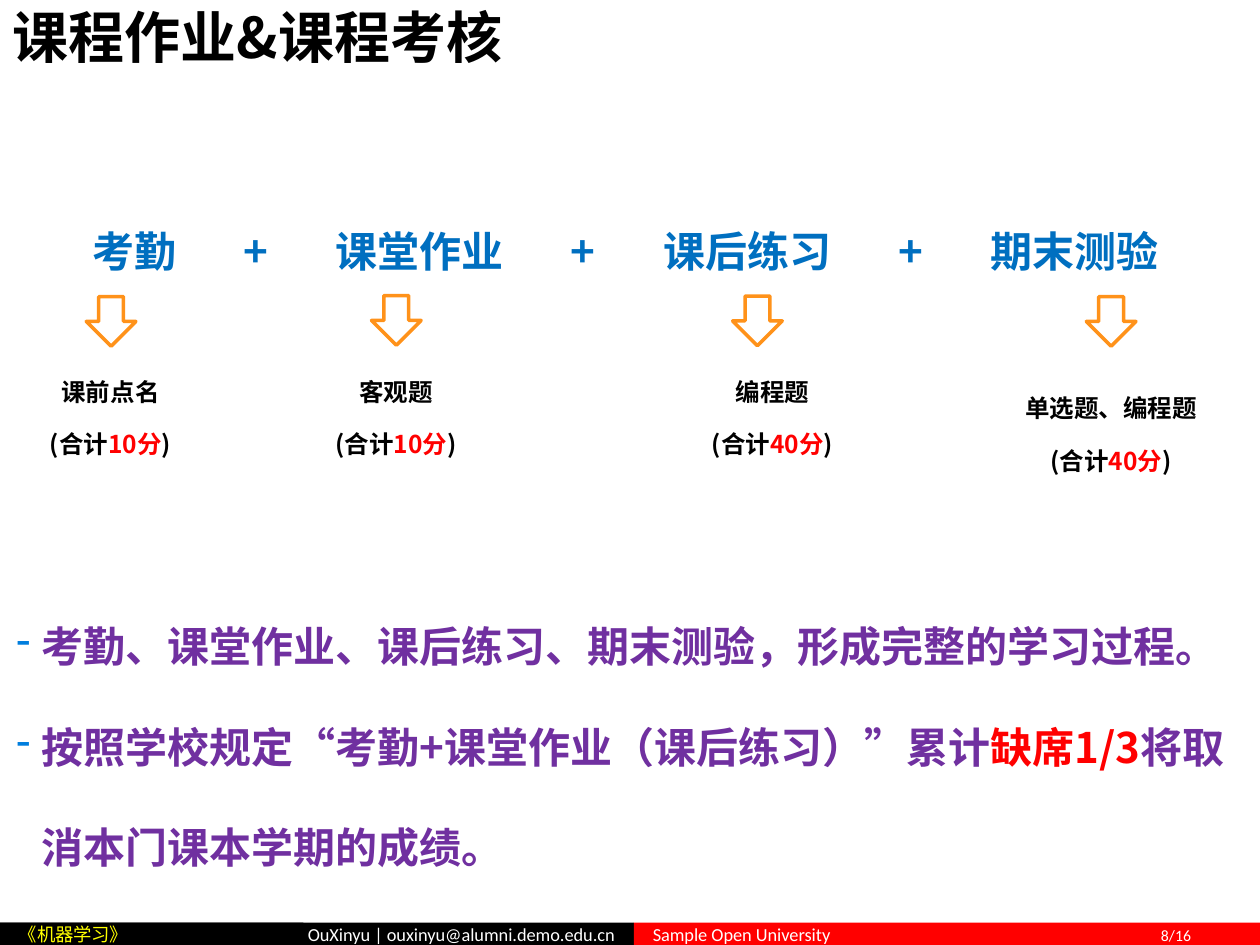
import pptx
import pptx.util
import pptx.dml.color
import pptx.enum.shapes
import pptx.enum.text
import pptx.oxml
import pptx.oxml.ns
from pptx.util import Cm, Pt

COLORS = {
    "black": "000000", "white": "FFFFFF", "red": "FF0000", "yellow": "FFFF00",
    "blue": "006FC0", "purple": "7030A0", "orange": "FF921A", "dash": "007EDE",
}
CJK = "Noto Sans CJK SC"
LATIN = "Calibri"
ALIGN = pptx.enum.text.PP_ALIGN
ANCHOR = pptx.enum.text.MSO_ANCHOR
SHAPE = pptx.enum.shapes.MSO_SHAPE


def color(name):
    return pptx.dml.color.RGBColor.from_string(COLORS[name])


def element(markup):
    head, tail = markup.split(" ", 1) if " " in markup.split(">")[0] else (markup.split(">")[0], ">" + markup.split(">", 1)[1])
    return pptx.oxml.parse_xml(f"{head} {pptx.oxml.ns.nsdecls('a')} {tail}")


def style(para, size, hue, bold=False, font=CJK, align=ALIGN.LEFT):
    para.alignment = align
    para.font.size = Pt(size)
    para.font.bold = bold
    para.font.color.rgb = color(hue)
    para.font.name = font
    para.font._element.append(element(f'<a:ea typeface="{font}"/>'))


def add_spans(para, spans):
    for text, hue in spans:
        span = para.add_run()
        span.text = text
        if hue:
            span.font.color.rgb = color(hue)


def add_tabs(para, stops):
    tabs = "".join(f'<a:tab pos="{Cm(pos)}" algn="{kind}"/>' for pos, kind in stops)
    para.font._element.addprevious(element(f"<a:tabLst>{tabs}</a:tabLst>"))


def set_frame(frame, left=0, top=0, right=0, bottom=0, anchor=ANCHOR.TOP):
    frame.word_wrap = True
    frame.vertical_anchor = anchor
    frame.margin_left, frame.margin_top = Cm(left), Cm(top)
    frame.margin_right, frame.margin_bottom = Cm(right), Cm(bottom)


def add_text(page, left, top, width, height, inset=0.03):
    box = page.shapes.add_textbox(Cm(left), Cm(top), Cm(width), Cm(height))
    set_frame(box.text_frame, top=inset)
    return box.text_frame


def add_title(page, left, top, width, height):
    title = page.shapes.title
    title.left, title.top = Cm(left), Cm(top)
    title.width, title.height = Cm(width), Cm(height)
    set_frame(title.text_frame, 0.25, 0.13, 0.25, 0.13, ANCHOR.MIDDLE)
    para = title.text_frame.paragraphs[0]
    para.text = "课程作业&课程考核"
    style(para, 32, "black", bold=True)
    para.line_spacing = 0.9


def add_footer(page, left, top, width, height):
    half = width / 2
    parts = [
        (0, half + 0.08, "black", "white", ALIGN.RIGHT, "OuXinyu | ouxinyu@alumni.demo.edu.cn", LATIN),
        (half + 0.08, half - 0.08, "red", "white", ALIGN.LEFT, "Sample Open University\t", LATIN),
        (0, 6.12, "black", "yellow", ALIGN.LEFT, "《机器学习》", CJK),
    ]
    for offset, part_width, fill, hue, align, text, font in parts:
        bar = page.shapes.add_shape(SHAPE.RECTANGLE, Cm(left + offset), Cm(top), Cm(part_width), Cm(height))
        bar.shadow.inherit = False
        bar.fill.solid()
        bar.fill.fore_color.rgb = color(fill)
        bar.line.fill.background()
        set_frame(bar.text_frame, 0.38, 0, 0.38, 0, ANCHOR.MIDDLE)
        para = bar.text_frame.paragraphs[0]
        style(para, 10.5, hue, font=font, align=align)
        add_spans(para, [(text, None)])
        if "\t" in text:
            add_tabs(para, [(10.85, "r")])
            number = para.add_run()
            number.text = "8/16"
            number.font.size = Pt(9)


def add_formula(page, left, top, width, height):
    para = add_text(page, left, top, width, height).paragraphs[0]
    style(para, 24, "blue", bold=True)
    para.space_before = Pt(1)
    stops = [2.82] + [5.26 + 3.3 * step for step in range(6)]
    add_tabs(para, [(stop, "ctr") for stop in stops])
    words = ["考勤", "课堂作业", "课后练习", "期末测验"]
    add_spans(para, [("\t" + "\t+\t".join(words), None)])


def add_part(page, left, top, width, height, arrow_left, arrow_top, name, points):
    arrow = page.shapes.add_shape(SHAPE.DOWN_ARROW, Cm(arrow_left), Cm(arrow_top), Cm(1), Cm(1))
    arrow.shadow.inherit = False
    arrow.fill.background()
    arrow.line.color.rgb = color("orange")
    arrow.line.width = Pt(2)
    frame = add_text(page, left, top, width, height, inset=0.46)
    lines = [[(name, None)], [("(合计", None), (f"{points}分", "red"), (")", None)]]
    for index, spans in enumerate(lines):
        para = frame.add_paragraph() if index else frame.paragraphs[0]
        style(para, 14, "black", bold=True, align=ALIGN.CENTER)
        para.space_before = Pt(13)
        add_spans(para, spans)


def add_rules(page, left, top, width, height):
    frame = add_text(page, left, top, width, height)
    rules = [
        [("考勤、课堂作业、课后练习、期末测验，形成完整的学习过程。", None)],
        [("按照学校规定“考勤+课堂作业（课后练习）”累计", None), ("缺席1/3", "red"),
         ("将取消本门课本学期的成绩。", None)],
    ]
    for index, spans in enumerate(rules):
        para = frame.add_paragraph() if index else frame.paragraphs[0]
        style(para, 24, "purple", bold=True)
        para.line_spacing = 2.0
        props = para._p.get_or_add_pPr()
        props.set("marL", str(Cm(0.56)))
        props.set("indent", str(Cm(-0.51)))
        dash = COLORS["dash"]
        para.font._element.addprevious(element(f'<a:buClr><a:srgbClr val="{dash}"/></a:buClr>'))
        para.font._element.addprevious(element('<a:buChar char="-"/>'))
        add_spans(para, spans)


def main():
    deck = pptx.Presentation()
    deck.slide_width, deck.slide_height = Cm(25.4), Cm(19.05)
    page = deck.slides.add_slide(deck.slide_layouts[5])
    add_footer(page, 0, 18.6, 25.4, 0.45)
    add_title(page, 0, 0.05, 20.98, 1.52)
    add_formula(page, -0.1, 4.52, 25.4, 1.07)
    parts = [
        (0.86, 7.14, 2.74, 1.74, 5.98, "课前点名", 10),
        (5.66, 7.14, 4.65, 7.49, 5.96, "客观题", 10),
        (13.34, 7.14, 4.47, 14.77, 5.97, "编程题", 40),
        (20.47, 7.47, 3.86, 21.9, 5.98, "单选题、编程题", 40),
    ]
    for left, top, width, arrow_left, arrow_top, name, points in parts:
        add_part(page, left, top, width, 2.13, arrow_left, arrow_top, name, points)
    add_rules(page, 0.28, 11.46, 24.84, 5.87)
    deck.save("out.pptx")


if __name__ == "__main__":
    main()
